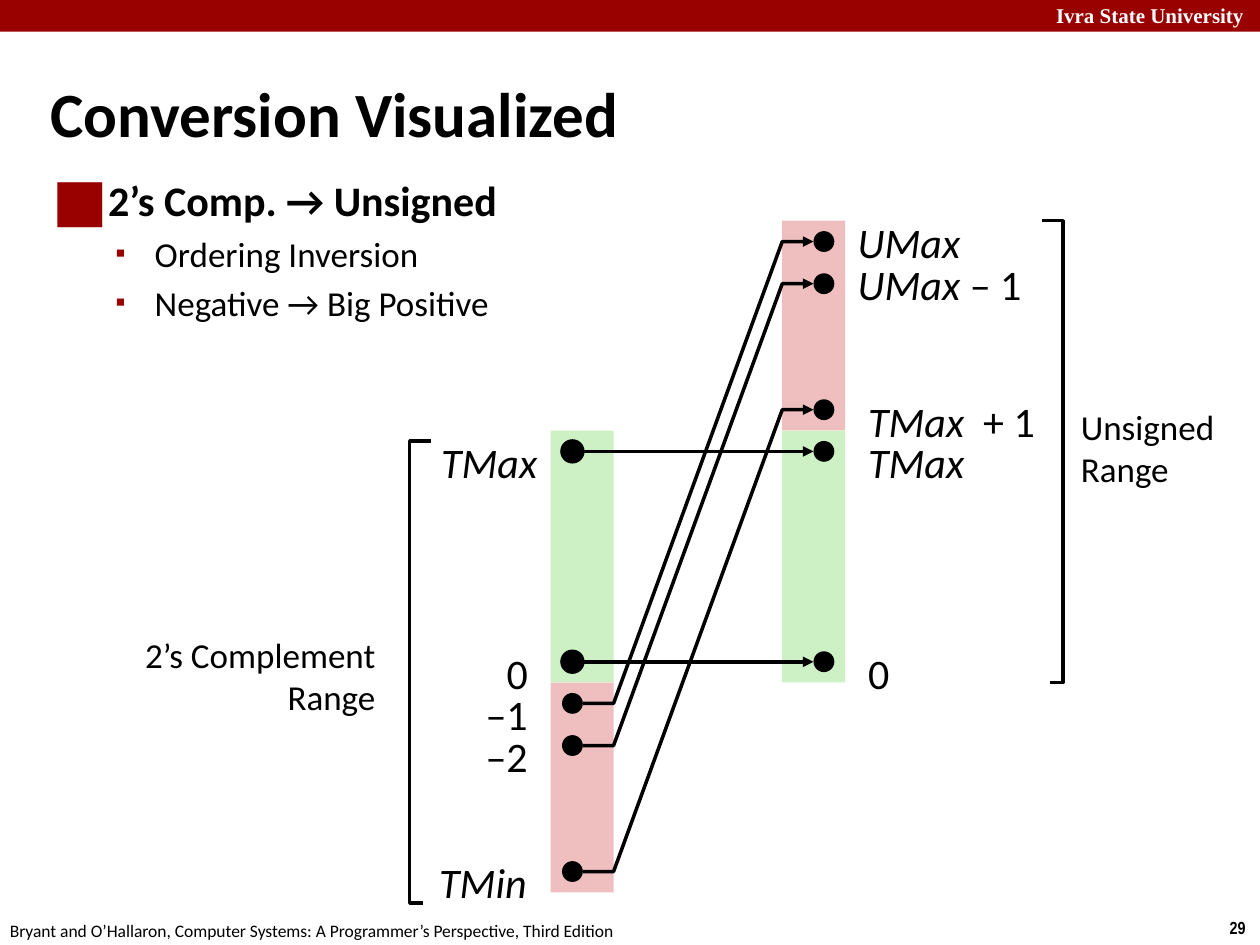
"""Build the slide that maps the two's complement range onto the unsigned range."""
from typing import NamedTuple, Optional

from lxml.etree import SubElement
from pptx import Presentation
from pptx.dml.color import RGBColor
from pptx.enum.shapes import MSO_CONNECTOR, MSO_SHAPE
from pptx.enum.text import MSO_ANCHOR, PP_ALIGN
from pptx.oxml.ns import qn
from pptx.util import Cm, Pt

BLACK, WHITE, RED = "000000", "FFFFFF", "990000"
GREEN_BAND, RED_BAND = "CDF1C5", "EFBFBF"
DOT_SIZE = 0.42
SIGNED_X, UNSIGNED_X = 11.54, 16.61
SIGNED_BAND, UNSIGNED_BAND, BAND_WIDTH = 11.1, 15.77, 1.27
ARROW_START, ARROW_END = 11.75, 16.4


class Run(NamedTuple):
    text: str
    size: float = 24
    bold: bool = False
    italic: bool = False
    color: str = BLACK
    font: str = "Calibri"


class Bullet(NamedTuple):
    symbol: str
    percent: int
    margin: float
    hanging: float
    space_before: float = 0


class Line(NamedTuple):
    runs: list[Run]
    bullet: Optional[Bullet] = None


class TextBlock(NamedTuple):
    left: float
    top: float
    width: float
    height: float
    lines: list[Line]
    align: PP_ALIGN = PP_ALIGN.LEFT
    anchor: MSO_ANCHOR = MSO_ANCHOR.TOP


class Band(NamedTuple):
    left: float
    top: float
    width: float
    height: float
    color: str


class Dot(NamedTuple):
    x: float
    y: float
    outlined: bool = False


class Label(NamedTuple):
    left: float
    y: float
    width: float
    runs: list[Run]
    align: PP_ALIGN
    rise: float = 0.42


def rgb(color: str) -> RGBColor:
    """Turn a hex string into a colour."""
    return RGBColor.from_string(color)


def add_solid(slide, kind: MSO_SHAPE, band: Band, outlined: bool = False) -> None:
    """Add a filled preset shape, with a line of its own colour if outlined."""
    shape = slide.shapes.add_shape(kind, *map(Cm, band[:4]))
    shape.shadow.inherit = False
    shape.fill.solid()
    shape.fill.fore_color.rgb = rgb(band.color)
    if outlined:
        shape.line.color.rgb = rgb(band.color)
        shape.line.width = Pt(2)
    else:
        shape.line.fill.background()


def add_dot(slide, dot: Dot) -> None:
    """Add a round black point centred on its position."""
    radius = DOT_SIZE / 2
    band = Band(dot.x - radius, dot.y - radius, DOT_SIZE, DOT_SIZE, BLACK)
    add_solid(slide, MSO_SHAPE.OVAL, band, dot.outlined)


def set_bullet(paragraph, bullet: Bullet) -> None:
    """Give a paragraph a red bullet with a hanging indent."""
    paragraph.space_before = Pt(bullet.space_before)
    properties = paragraph._p.get_or_add_pPr()
    properties.set("marL", str(Cm(bullet.margin)))
    properties.set("indent", str(-Cm(bullet.hanging)))
    color = SubElement(properties, qn("a:buClr"))
    SubElement(color, qn("a:srgbClr")).set("val", RED)
    SubElement(properties, qn("a:buSzPct")).set("val", str(bullet.percent * 1000))
    SubElement(properties, qn("a:buFont")).set("typeface", "Calibri")
    SubElement(properties, qn("a:buChar")).set("char", bullet.symbol)


def add_text(slide, block: TextBlock) -> None:
    """Add a text box line by line and run by run."""
    frame = slide.shapes.add_textbox(*map(Cm, block[:4])).text_frame
    frame.word_wrap = True
    frame.vertical_anchor = block.anchor
    for index, line in enumerate(block.lines):
        paragraph = frame.add_paragraph() if index else frame.paragraphs[0]
        paragraph.alignment = block.align
        if line.bullet:
            set_bullet(paragraph, line.bullet)
        for item in line.runs:
            run = paragraph.add_run()
            run.text = item.text
            run.font.name = item.font
            run.font.size = Pt(item.size)
            run.font.bold = item.bold
            run.font.italic = item.italic
            run.font.color.rgb = rgb(item.color)


def add_label(slide, label: Label) -> None:
    """Add the name of a value beside its point."""
    add_text(slide, TextBlock(label.left, label.y - label.rise, label.width, 1.3,
                              [Line(label.runs)], label.align))


def style_line(shape, arrow: bool) -> None:
    """Make a line black, with an optional arrowhead."""
    shape.line.color.rgb = rgb(BLACK)
    shape.line.width = Pt(2)
    if arrow:
        SubElement(shape.line._get_or_add_ln(), qn("a:tailEnd")).set("type", "triangle")


def add_polyline(slide, points: list[tuple[float, float]], arrow: bool = False) -> None:
    """Add an open, unfilled outline through the points."""
    start, *rest = [(Cm(x), Cm(y)) for x, y in points]
    builder = slide.shapes.build_freeform(*start)
    builder.add_line_segments(rest, close=False)
    shape = builder.convert_to_shape()
    shape.shadow.inherit = False
    shape.fill.background()
    style_line(shape, arrow)


def add_level_arrow(slide, y: float) -> None:
    """Add a horizontal arrow between equal values."""
    connector = slide.shapes.add_connector(
        MSO_CONNECTOR.STRAIGHT, Cm(ARROW_START), Cm(y), Cm(ARROW_END), Cm(y))
    style_line(connector, True)
    SubElement(connector._element.spPr, qn("a:effectLst"))


def main() -> None:
    """Build and save the slide."""
    presentation = Presentation()
    presentation.slide_width, presentation.slide_height = Cm(25.4), Cm(19.05)
    slide = presentation.slides.add_slide(presentation.slide_layouts[6])

    zero, tmax = 13.34, 9.1
    minus_one, minus_two, tmin = 14.18, 15.03, 17.57
    umax, umax_less_one, tmax_plus_one = 4.87, 5.72, 8.26
    wrapped = [(minus_one, umax), (minus_two, umax_less_one), (tmin, tmax_plus_one)]
    left, right = PP_ALIGN.LEFT, PP_ALIGN.RIGHT

    for band in [
        Band(0, 0, 25.4, 0.64, RED),
        Band(UNSIGNED_BAND, 8.68, BAND_WIDTH, 5.08, GREEN_BAND),
        Band(SIGNED_BAND, 8.68, BAND_WIDTH, 5.08, GREEN_BAND),
        Band(SIGNED_BAND, 13.76, BAND_WIDTH, 4.23, RED_BAND),
        Band(UNSIGNED_BAND, 4.45, BAND_WIDTH, 4.23, RED_BAND),
    ]:
        add_solid(slide, MSO_SHAPE.RECTANGLE, band)

    for y in (zero, tmax):
        add_dot(slide, Dot(SIGNED_X, y, outlined=True))
        add_dot(slide, Dot(UNSIGNED_X, y))
        add_level_arrow(slide, y)
    for start, end in wrapped:
        add_dot(slide, Dot(SIGNED_X, start))
        add_dot(slide, Dot(UNSIGNED_X, end))
        add_polyline(slide, [(ARROW_START, start), (SIGNED_BAND + BAND_WIDTH, start),
                             (UNSIGNED_BAND, end), (ARROW_END, end)], arrow=True)
    add_polyline(slide, [(8.53, 18.2), (8.26, 18.2), (8.26, 8.89), (8.68, 8.89)])
    add_polyline(slide, [(21.17, 13.76), (21.43, 13.76), (21.43, 4.45), (21.01, 4.45)])

    for label in [
        Label(8.79, zero, 2.1, [Run("0")], right),
        Label(8.58, tmax, 2.5, [Run("TMax", italic=True)], right),
        Label(8.58, tmin, 2.29, [Run("TMin", italic=True)], right),
        Label(8.79, minus_one, 2.1, [Run("–1")], right),
        Label(8.79, minus_two, 2.1, [Run("–2")], right),
        Label(17.25, zero, 2.1, [Run("0")], left),
        Label(17.04, umax, 3.18, [Run("UMax", italic=True)], left, 0.63),
        Label(17.04, umax_less_one, 4, [Run("UMax", italic=True), Run(" – 1")], left, 0.63),
        Label(17.25, tmax, 2.5, [Run("TMax", italic=True)], left),
        Label(17.25, tmax_plus_one, 3.95, [Run("TMax  ", italic=True), Run("+ 1")], left),
    ]:
        add_label(slide, label)

    main_bullet = Bullet("■", 140, 0.96, 0.96)
    sub_bullet = Bullet("▪", 80, 2.06, 0.79, 4)
    for block in [
        TextBlock(21.04, -0.08, 4.4, 0.76, [Line([Run(
            "Ivra State University", 12, True, color=WHITE, font="Times New Roman")])]),
        TextBlock(24.54, 18.36, 0.86, 0.69, [Line([Run("29", 10, True, font="Arial Narrow")])]),
        TextBlock(-0.05, 18.42, 13, 0.69, [Line([Run(
            "Bryant and O’Hallaron, Computer Systems: A Programmer’s Perspective, Third Edition",
            10)])]),
        TextBlock(1.9, 12.65, 5.92, 1.96, [Line([Run("2’s Complement Range", 20)])], right),
        TextBlock(21.54, 8.05, 3.23, 1.96, [Line([Run("Unsigned", 20)]), Line([Run("Range", 20)])]),
        TextBlock(0.76, 1.47, 22.07, 1.6, [Line([Run("Conversion Visualized", 36, True)])],
                  anchor=MSO_ANCHOR.MIDDLE),
        TextBlock(0.81, 3.4, 11.56, 4.78, [
            Line([Run("2’s Comp. → Unsigned", bold=True)], main_bullet),
            Line([Run("Ordering Inversion", 20)], sub_bullet),
            Line([Run("Negative → Big Positive", 20)], sub_bullet),
        ]),
    ]:
        add_text(slide, block)
    presentation.save("out.pptx")


if __name__ == "__main__":
    main()
